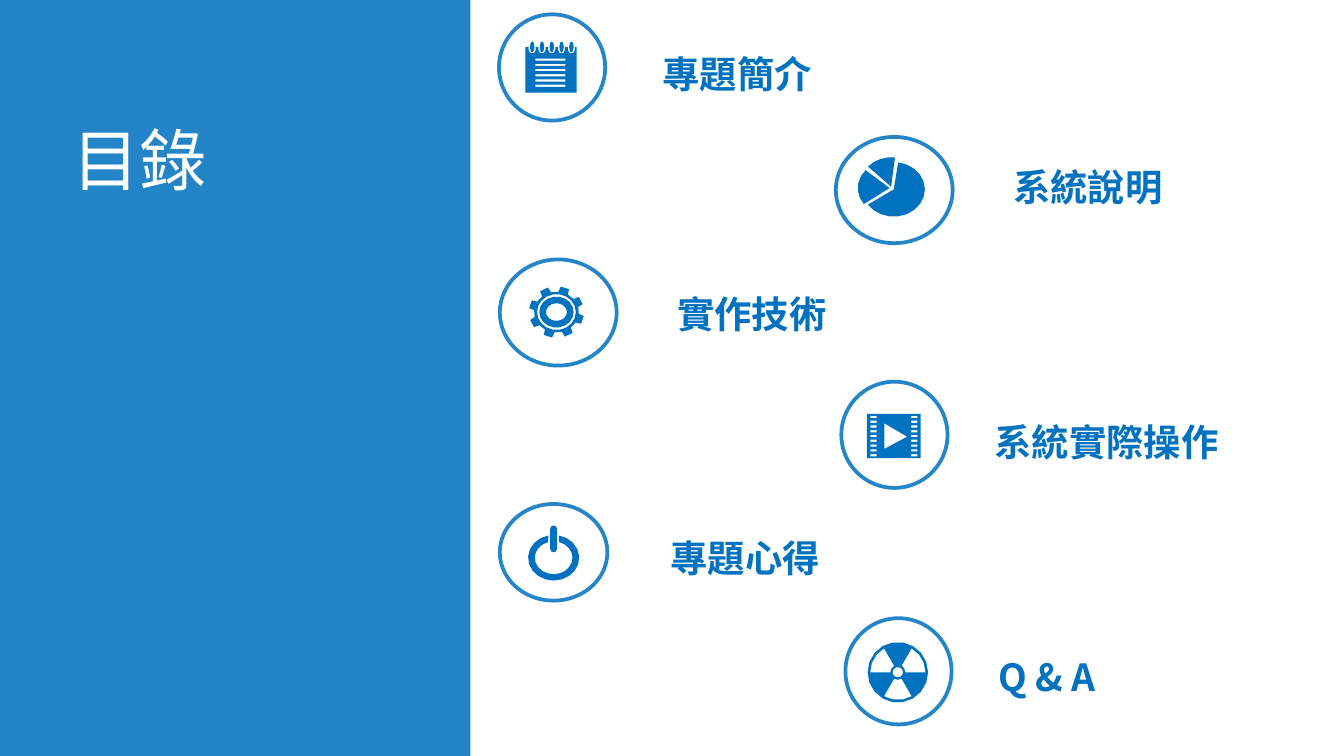
from math import cos, radians, sin

from lxml.etree import SubElement
from pptx import Presentation
from pptx.dml.color import RGBColor
from pptx.enum.shapes import MSO_SHAPE
from pptx.enum.text import MSO_ANCHOR
from pptx.oxml.ns import qn
from pptx.util import Pt

CJK = "Noto Sans CJK TC"
THEME = {
    "white": RGBColor(0xFF, 0xFF, 0xFF),
    "panel": RGBColor(0x00, 0x70, 0xC0),
    "blue": RGBColor(0x00, 0x72, 0xC0),
    "title": {"name": "Arial", "size": Pt(36)},
    "label": {"name": CJK, "size": Pt(20), "bold": True},
    "ring": Pt(2),
}


def arc(cx, cy, rx, ry, start=0, end=360, steps=18):
    """Points along an ellipse; angles run clockwise from the right."""
    angles = [radians(start + (end - start) * i / steps) for i in range(steps + 1)]
    return [(cx + rx * cos(a), cy + ry * sin(a)) for a in angles]


def fade(fill, percent):
    """Give a solid fill the stated opacity."""
    color = fill._xPr.find(qn("a:solidFill"))[0]
    SubElement(color, qn("a:alpha")).set("val", str(percent * 1000))


prs = Presentation()
prs.slide_width, prs.slide_height = Pt(720), Pt(405)
s = prs.slides.add_slide(prs.slide_layouts[6])

# Background panels
for left, width, color, opacity in [(252, 468, "white", 88), (0, 252, "panel", 86)]:
    sp = s.shapes.add_shape(MSO_SHAPE.RECTANGLE, Pt(left), 0, Pt(width), Pt(405))
    sp.shadow.inherit = False
    sp.fill.solid()
    sp.fill.fore_color.rgb = THEME[color]
    fade(sp.fill, opacity)
    sp.line.fill.background()

# Title
tf = s.shapes.add_textbox(Pt(31.7), Pt(39.6), Pt(185.8), Pt(90.7)).text_frame
tf.word_wrap = True
tf.vertical_anchor = MSO_ANCHOR.MIDDLE
r = tf.paragraphs[0].add_run()
r.text = "目錄"
for key, value in THEME["title"].items():
    setattr(r.font, key, value)
r.font.color.rgb = THEME["white"]

# Notepad icon: body with notches, binding rings, ruled lines
body = [(281.5, 25.2)]
rings = []
for k in range(5):
    x = 285.1 + 5.25 * k
    body += [(x - 1.9, 25.2), *arc(x, 26.9, 1.9, 1.9, 180, 0, 3), (x + 1.9, 25.2)]
    rings.append(arc(x, 25.2, 1.2, 3, steps=8)[:-1])
body += [(308.9, 25.2), (308.9, 49.7), (281.5, 49.7)]
rules = []
for k in range(6):
    y = 31.4 + 2.8 * k
    rules.append([(286.8, y), (302.9, y), (302.9, y + 1.2), (286.8, y + 1.2)])
notepad = [body, *rings, *rules]

# Pie icon: three slices
pie = [
    [(478.8, 101.5), *arc(478.8, 101.5, 16.7, 14.6, -82, 146, 14)],
    [(476.6, 100.8), *arc(476.6, 100.8, 17.1, 14.6, 144, 221, 5)],
    [(477.4, 100.1), *arc(477.4, 100.1, 16.9, 15.8, 223, 277, 4)],
]

# Gear icon: eight teeth around nested ellipses
gear_at = (298.1, 167.2)
teeth = []
for k in range(8):
    mid = 18 + 45 * k
    teeth += arc(*gear_at, 12, 10.9, mid - 32, mid - 13, 1)
    teeth += arc(*gear_at, 14.8, 13.8, mid - 9, mid + 9, 1)
gear = [teeth] + [arc(*gear_at, rx, ry) for rx, ry in [(10.4, 9.6), (9.2, 8.3), (5.6, 4.7)]]

# Film icon: frame, play mark, perforations
film = [
    [(464.4, 221.8), (493.2, 221.8), (493.2, 245.5), (464.4, 245.5)],
    [(473.8, 226.8), (473.8, 240.5), (486, 234)],
]
for k in range(9):
    y = 222.8 + 2.56 * k
    for x in (466.3, 488.2):
        film.append([(x, y), (x + 3.3, y), (x + 3.3, y + 1.2), (x, y + 1.2)])

# Power icon: open ring and bar
power_at = (296.6, 298.8)
power = [
    arc(*power_at, 13.7, 12.2, -78, 258) + arc(*power_at, 10.1, 8.8, 253, -73),
    arc(296.6, 283.3, 1.8, 1.8, 180, 360, 4) + arc(296.6, 294.1, 1.8, 1.8, 0, 180, 4),
]

# Trefoil icon: disc with three openings and a hub
trefoil_at = (481, 360.2)
trefoil = [arc(*trefoil_at, 16.2, 16.2), arc(*trefoil_at, 2.8, 2.8, steps=10)]
for a in (60, 180, 300):
    trefoil.append(
        arc(*trefoil_at, 14.8, 14.8, a, a + 60, 3) + arc(*trefoil_at, 4, 4, a + 60, a, 2)
    )

# Agenda: label, ring box, label box (left, top, width), icon
agenda = [
    ("專題簡介", (267.3, 7.7, 56.9, 56.9), (347.8, 23.8, 132.5), notepad),
    ("系統說明", (447.8, 73.4, 62.6, 56.9), (535.7, 84.2, 124.6), pie),
    ("實作技術", (267.8, 139, 62.6, 56.9), (355.7, 152.6, 124.6), gear),
    ("系統實際操作", (450.7, 204.5, 56.9, 56.9), (525.6, 221, 137.5), film),
    ("專題心得", (267.8, 270, 57.6, 51.8), (352.1, 283, 128.2), power),
    ("Q & A", (452.9, 331.2, 56.9, 56.9), (527.8, 347, 137.5), trefoil),
]
for label, ring_box, label_box, icon in agenda:
    shapes = s.shapes.add_group_shape().shapes

    # Ring
    sp = shapes.add_shape(MSO_SHAPE.OVAL, *map(Pt, ring_box))
    sp.shadow.inherit = False
    sp.fill.solid()
    sp.fill.fore_color.rgb = THEME["white"]
    sp.line.width = THEME["ring"]
    sp.line.color.rgb = THEME["blue"]
    fade(sp.line.fill, 85)

    # Icon
    contours = [[(Pt(x), Pt(y)) for x, y in points] for points in icon]
    builder = shapes.build_freeform(*contours[0][0])
    builder.add_line_segments(contours[0][1:])
    for points in contours[1:]:
        builder.move_to(*points[0])
        builder.add_line_segments(points[1:])
    sp = builder.convert_to_shape()
    sp.shadow.inherit = False
    sp.fill.solid()
    sp.fill.fore_color.rgb = THEME["panel" if icon is power else "blue"]
    sp.line.fill.background()

    # Label
    tf = shapes.add_textbox(*map(Pt, label_box), Pt(25.9)).text_frame
    tf.word_wrap = True
    r = tf.paragraphs[0].add_run()
    r.text = label
    for key, value in THEME["label"].items():
        setattr(r.font, key, value)
    r.font.color.rgb = THEME["blue"]
    SubElement(r.font._rPr, qn("a:ea")).set("typeface", CJK)

prs.save("out.pptx")
